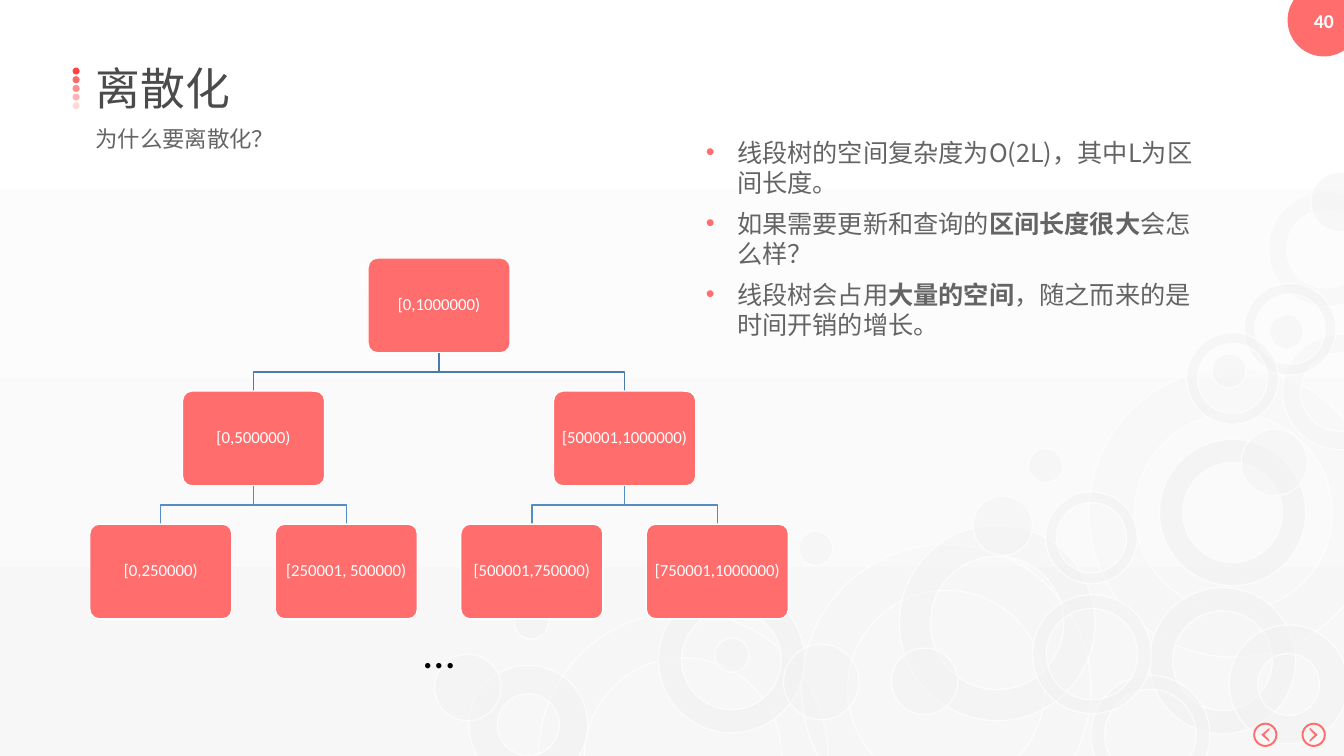
from lxml import etree
from pptx import Presentation
from pptx.dml.color import RGBColor
from pptx.enum.shapes import MSO_SHAPE
from pptx.enum.text import MSO_ANCHOR, MSO_AUTO_SIZE, PP_ALIGN
from pptx.oxml.ns import qn
from pptx.util import Inches, Pt

OVAL, DONUT, ROUNDED = MSO_SHAPE.OVAL, MSO_SHAPE.DONUT, MSO_SHAPE.ROUNDED_RECTANGLE
LEFT, CENTER = PP_ALIGN.LEFT, PP_ALIGN.CENTER
TOP, MIDDLE = MSO_ANCHOR.TOP, MSO_ANCHOR.MIDDLE
LATIN, CJK = "Calibri", "Noto Sans CJK SC"
CORAL, RED, WHITE, PALE = "FF6D6D", "FF4343", "FFFFFF", "F2F2F2"
TITLE_GREY, BODY_GREY, BLACK = "4B4B4B", "646464", "000000"

# (diameter, ring thickness or None for a disc, opacity): top-left corners
BUBBLES = {
    (2.87, 0.159, 13): [(5.34, 6.07), (7.95, 5.4), (10.8, 3.65)],
    (1.94, 0.159, 42): [(8.92, 5.21)],
    (1.45, 0.159, 75): [(11.5, 4.36), (6.53, 5.82), (11.4, 5.83)],
    (1.14, 0.159, 31): [(12.72, 3.32), (12.58, 1.9)],
    (1.18, 0.117, 54): [(10.82, 6.7), (10.24, 5.9)],
    (1.18, 0.24, 54): [(12.19, 6.2), (4.65, 6.6)],
    (0.91, 0.117, 54): [(12.34, 2.81), (10.37, 4.88), (11.77, 3.3)],
    (0.75, None, 39): [(7.77, 6.39)],
    (0.66, None, 47): [(12.31, 4.26), (4.31, 6.49), (8.84, 6.43)],
    (0.59, None, 47): [(9.65, 4.92), (13, 1.71)],
    (0.34, None, 47): [(12.02, 3.51), (7.92, 5.27), (7.09, 6.33),
                       (10.2, 4.45), (12.59, 3.12), (5.1, 6)],
}
TREE_LEVELS = [
    ["[0,1000000)"],
    ["[0,500000)", "[500001,1000000)"],
    ["[0,250000)", "[250001, 500000)", "[500001,750000)", "[750001,1000000)"],
]
BRANCH_COLORS = ["497CAB", "538DC1"]
# Each point is a list of runs; every second run is bold
POINTS = [
    ["线段树的空间复杂度为O(2L)，其中L为区间长度。"],
    ["如果需要更新和查询的", "区间长度很大", "会怎么样？"],
    ["线段树会占用", "大量的空间", "，随之而来的是时间开销的增长。"],
]


def rgb(color):
    return RGBColor.from_string(color)


def set_opacity(parent, percent):
    color = parent.find(qn("a:solidFill"))[0]
    etree.SubElement(color, qn("a:alpha"), val=str(percent * 1000))


def add_filled(slide, kind, x, y, w, h, color, adjustment=None, outline=None):
    shape = slide.shapes.add_shape(kind, Inches(x), Inches(y), Inches(w), Inches(h))
    shape.shadow.inherit = False
    shape.fill.solid()
    shape.fill.fore_color.rgb = rgb(color)
    if outline:
        shape.line.color.rgb = rgb(outline)
        shape.line.width = Pt(1)
    else:
        shape.line.fill.background()
    if adjustment is not None:
        shape.adjustments[0] = adjustment
    return shape


def add_polyline(slide, points, close):
    corners = [(Inches(x), Inches(y)) for x, y in points]
    builder = slide.shapes.build_freeform(*corners[0])
    builder.add_line_segments(corners[1:], close=close)
    shape = builder.convert_to_shape()
    shape.shadow.inherit = False
    return shape


def style_paragraph(paragraph, size, color, face, align=LEFT, bold=False):
    paragraph.alignment = align
    font = paragraph.font
    font.size, font.name, font.bold = Pt(size), face, bold
    font.color.rgb = rgb(color)
    defaults = paragraph._p.pPr.find(qn("a:defRPr"))
    etree.SubElement(defaults, qn("a:ea"), typeface=face)
    if face == CJK:
        paragraph.line_spacing = Pt(round(size * 1.2, 1))
        paragraph.space_before = Pt(0)


def prepare_frame(frame, anchor, inset=None, wrap=True):
    frame.auto_size = MSO_AUTO_SIZE.NONE
    frame.vertical_anchor, frame.word_wrap = anchor, wrap
    if inset is not None:
        frame.margin_left = frame.margin_right = Inches(inset)
        frame.margin_top = frame.margin_bottom = Inches(inset)


def place(shape, x, y, w, h):
    shape.left, shape.top, shape.width, shape.height = map(Inches, (x, y, w, h))


def add_label(slide, x, y, w, h, text, size, color, face, align=LEFT):
    label = slide.shapes.add_textbox(Inches(x), Inches(y), Inches(w), Inches(h))
    prepare_frame(label.text_frame, TOP)
    label.text_frame.text = text
    style_paragraph(label.text_frame.paragraphs[0], size, color, face, align)


def draw_backdrop(slide):
    fill = slide.background.fill
    fill.gradient()
    fill.gradient_angle = 270
    for stop, color in zip(fill.gradient_stops, (WHITE, "F7F7F7")):
        stop.color.rgb = rgb(color)
    fill.gradient_stops[0].position, fill.gradient_stops[1].position = 0, 1
    for (size, ring, opacity), corners in BUBBLES.items():
        for x, y in corners:
            bubble = add_filled(slide, DONUT if ring else OVAL, x, y, size, size,
                                PALE, ring, WHITE)
            properties = bubble._element.spPr
            set_opacity(properties, opacity)
            set_opacity(properties.find(qn("a:ln")), 70)


def draw_arrow_button(slide, x, y, direction):
    """Ring with a chevron; direction is 1 for next and -1 for previous."""
    size = 0.24
    add_filled(slide, DONUT, x, y, size, size, CORAL, 0.08)
    offsets = [(-0.04, 0.05), (0.01, 0), (-0.04, -0.05),
               (-0.04, -0.07), (0.04, 0), (-0.04, 0.07)]
    middle_x, middle_y = x + size / 2, y + size / 2
    chevron = add_polyline(
        slide, [(middle_x + direction * dx, middle_y + dy) for dx, dy in offsets], True)
    chevron.fill.solid()
    chevron.fill.fore_color.rgb = rgb(CORAL)
    chevron.line.fill.background()


def draw_page_number(slide, x, y, size):
    badge = add_filled(slide, OVAL, x, y, size, size, CORAL)
    prepare_frame(badge.text_frame, MIDDLE, 0, wrap=False)
    badge.text_frame.text = "40"
    style_paragraph(badge.text_frame.paragraphs[0], 14, WHITE, LATIN, CENTER, True)


def draw_heading(slide, x, y):
    for i in range(5):
        dot = add_filled(slide, OVAL, x, y + 0.12 + i * 0.086, 0.07, 0.07, RED)
        set_opacity(dot._element.spPr, 100 - 20 * i)
    title = slide.shapes.title
    place(title, x + 0.13, y, 5, 0.64)
    title.text = "离散化"
    prepare_frame(title.text_frame, TOP)
    style_paragraph(title.text_frame.paragraphs[0], 32, TITLE_GREY, CJK)
    add_label(slide, x + 0.13, y + 0.64, 2.4, 0.37, "为什么要离散化？", 16, BODY_GREY, CJK)


def draw_points(slide, x, y, w, h):
    body = slide.placeholders[1]
    place(body, x, y, w, h)
    frame = body.text_frame
    prepare_frame(frame, TOP)
    for i, runs in enumerate(POINTS):
        point = frame.paragraphs[0] if i == 0 else frame.add_paragraph()
        for j, text in enumerate(runs):
            run = point.add_run()
            run.text = text
            run.font.bold = j % 2 == 1
        style_paragraph(point, 18, BODY_GREY, CJK)
        point.space_after = Pt(7.5)
        properties = point._p.pPr
        properties.set("marL", str(Inches(0.31)))
        properties.set("indent", str(-Inches(0.31)))
        defaults = properties.find(qn("a:defRPr"))
        bullet_color = etree.Element(qn("a:buClr"))
        etree.SubElement(bullet_color, qn("a:srgbClr"), val=CORAL)
        defaults.addprevious(bullet_color)
        defaults.addprevious(etree.Element(qn("a:buFont"), typeface="Arial"))
        defaults.addprevious(etree.Element(qn("a:buChar"), char="•"))


def draw_tree(slide, x, y):
    node_w, node_h, column, row = 1.41, 0.94, 1.84, 1.32

    def node_center(level, index):
        span = 4 / 2 ** level
        return x + node_w / 2 + column * (span * (index + 0.5) - 0.5)

    for level, intervals in enumerate(TREE_LEVELS):
        top = y + level * row
        for index, interval in enumerate(intervals):
            center = node_center(level, index)
            if level:
                parent, start = node_center(level - 1, index // 2), top - row + node_h
                bend = (start + top) / 2
                branch = add_polyline(slide, [(parent, start), (parent, bend),
                                              (center, bend), (center, top)], False)
                branch.fill.background()
                branch.line.color.rgb = rgb(BRANCH_COLORS[level - 1])
                branch.line.width = Pt(1)
            node = add_filled(slide, ROUNDED, center - node_w / 2, top,
                              node_w, node_h, CORAL, 0.1, WHITE)
            prepare_frame(node.text_frame, MIDDLE, 0.05)
            node.text_frame.text = interval
            label = node.text_frame.paragraphs[0]
            style_paragraph(label, 12, WHITE, LATIN, CENTER)
            label.line_spacing = 0.9
    add_label(slide, x + 1.74, y + 3.58, 3.45, 0.64, "…", 32, BLACK, LATIN, CENTER)


def main():
    deck = Presentation()
    deck.slide_width, deck.slide_height = Inches(13.33), Inches(7.5)
    slide = deck.slides.add_slide(deck.slide_layouts[1])
    draw_backdrop(slide)
    draw_arrow_button(slide, 12.91, 7.17, 1)
    draw_arrow_button(slide, 12.43, 7.17, -1)
    draw_page_number(slide, 12.77, -0.16, 0.72)
    draw_heading(slide, 0.72, 0.55)
    draw_tree(slide, 0.89, 2.56)
    draw_points(slide, 6.9, 1.31, 5.14, 2.12)
    deck.save("out.pptx")


if __name__ == "__main__":
    main()
